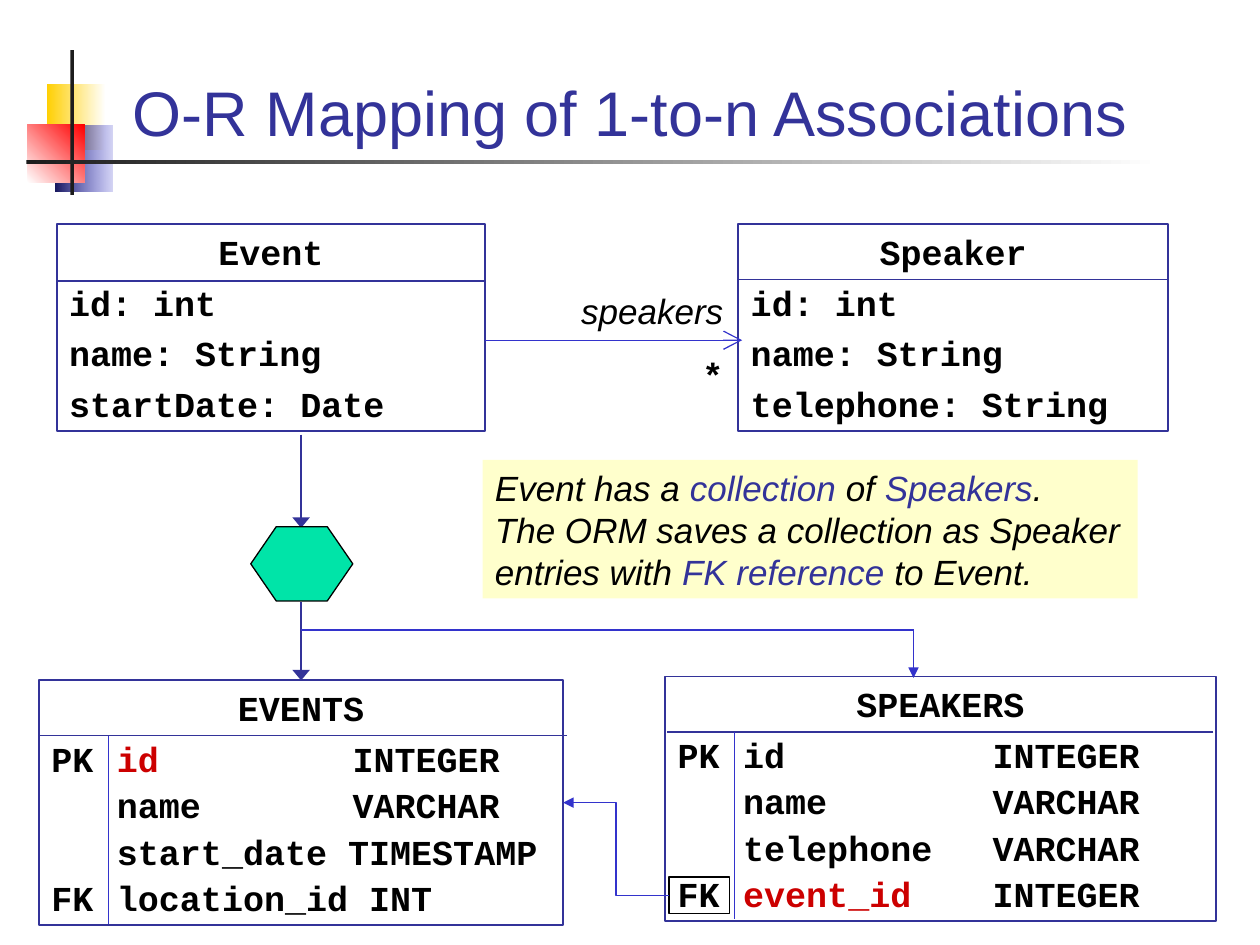
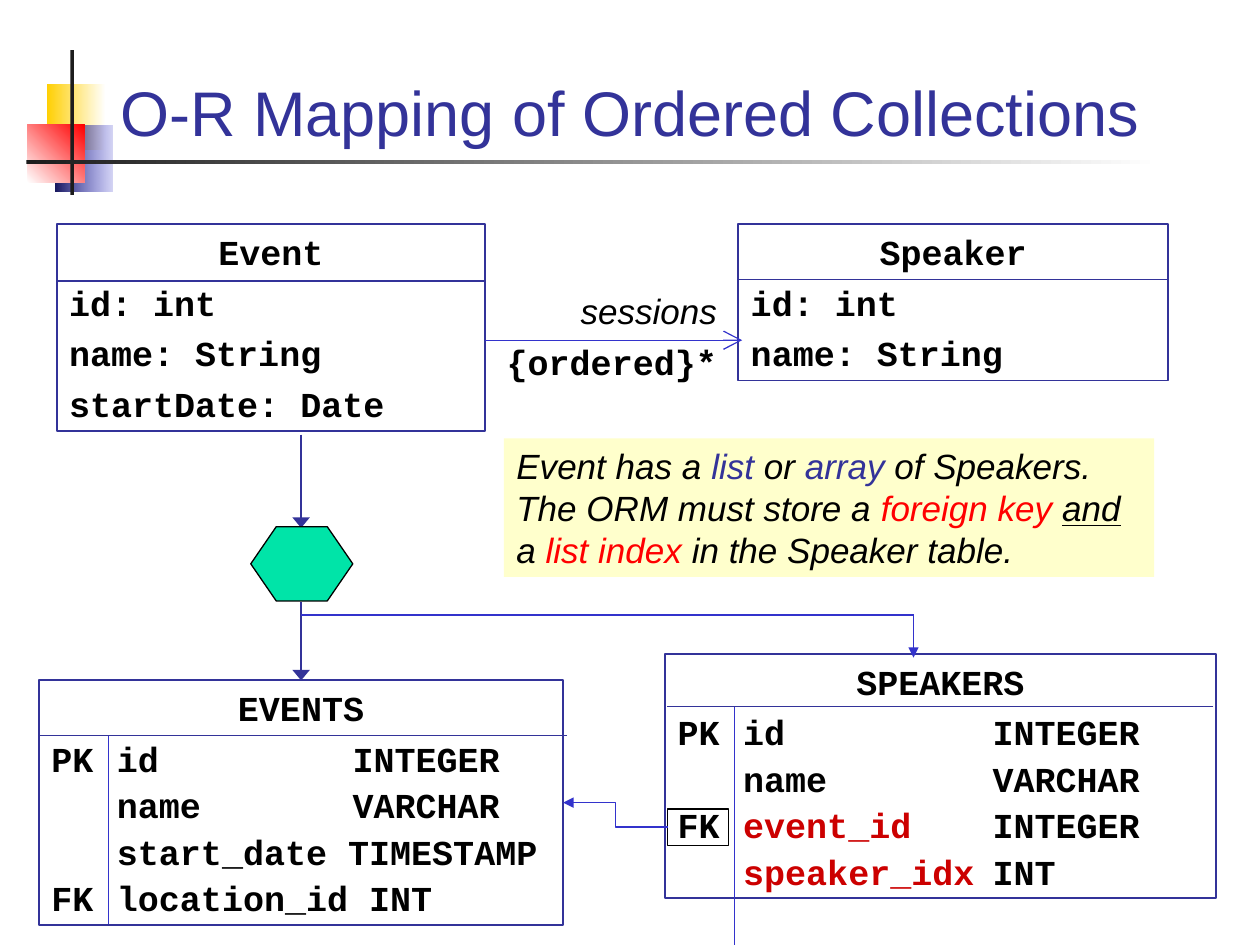
"""Builds two slides on object-relational mapping of associations and collections."""
from dataclasses import dataclass
from typing import Optional

from lxml.etree import SubElement
from pptx import Presentation
from pptx.dml.color import RGBColor
from pptx.enum.shapes import MSO_CONNECTOR, MSO_SHAPE
from pptx.enum.text import MSO_ANCHOR, PP_ALIGN
from pptx.oxml.ns import qn
from pptx.util import Inches, Pt

BLACK = RGBColor(0x00, 0x00, 0x00)
CHARCOAL = RGBColor(0x1C, 0x1C, 0x1C)
WHITE = RGBColor(0xFF, 0xFF, 0xFF)
INDIGO = RGBColor(0x33, 0x33, 0x99)
BLUE = RGBColor(0x33, 0x33, 0xCC)
NAVY = RGBColor(0x18, 0x18, 0x5E)
GOLD = RGBColor(0xFF, 0xCF, 0x01)
RED = RGBColor(0xFF, 0x00, 0x00)
KEY_RED = RGBColor(0xCC, 0x00, 0x00)
GREEN = RGBColor(0x00, 0xE4, 0xA8)
CREAM = RGBColor(0xFF, 0xFF, 0xCC)
SANS, MONO = "Arial", "Courier New"
FLOW_X = 2.39
KEY_TAB = 0.52


@dataclass(frozen=True)
class Span:
    text: str
    color: RGBColor = BLACK
    underline: bool = False


@dataclass(frozen=True)
class Line:
    spans: tuple[Span, ...]
    font: str = MONO
    align: PP_ALIGN = PP_ALIGN.LEFT
    before: float = 0
    tabs: tuple[float, ...] = ()


@dataclass(frozen=True)
class Area:
    left: float
    top: float
    width: float
    height: float

    @property
    def inches(self) -> tuple:
        return tuple(Inches(v) for v in (self.left, self.top, self.width, self.height))


@dataclass(frozen=True)
class Band:
    area: Area
    start: RGBColor
    end: RGBColor
    angle: float = 0
    end_alpha: Optional[int] = None


@dataclass(frozen=True)
class Entity:
    name: str
    fields: tuple[str, ...]
    area: Area
    divider: float


@dataclass(frozen=True)
class Table:
    name: str
    rows: tuple[tuple[str, str, str], ...]
    area: Area
    rule: tuple[float, float]
    divider: float
    key_line: tuple[float, float, float]
    type_tab: float
    red_columns: tuple[str, ...] = ()


@dataclass(frozen=True)
class Mapping:
    title: str
    speaker: Entity
    events: Table
    speakers: Table
    label: Area
    label_lines: tuple[Line, ...]
    note: Area
    note_lines: tuple[Line, ...]
    branch_y: float
    branch_end: float
    foreign_key: Area


BANDS = (
    Band(Area(0.37, 0.67, 0.47, 0.52), GOLD, WHITE),
    Band(Area(0.44, 1, 0.45, 0.52), NAVY, BLUE, end_alpha=20),
    Band(Area(0.22, 0.99, 0.45, 0.46), WHITE, RED, angle=45),
    Band(Area(0.56, 0.4, 0.03, 1.15), CHARCOAL, CHARCOAL),
    Band(Area(0.21, 1.27, 9, 0.03), CHARCOAL, WHITE),
)
EVENT = Entity("Event", ("id: int", "name: String", "startDate: Date"),
               Area(0.45, 1.78, 3.4, 1.64), 2.23)
SPEAKER_FIELDS = ("id: int", "name: String", "telephone: String")
EVENT_ROWS = (("PK", "id", "\tINTEGER"), ("", "name", "\tVARCHAR"),
              ("", "start_date", " TIMESTAMP"), ("FK", "location_id", " INT"))
SPEAKER_ROWS = (("PK", "id", "\tINTEGER"), ("", "name", "\tVARCHAR"))
EVENT_ID_ROW = ("FK", "event_id", "\tINTEGER")


def speaker_entity(count: int, height: float) -> Entity:
    return Entity("Speaker", SPEAKER_FIELDS[:count], Area(5.86, 1.78, 3.41, height), 2.22)


def events_table(*red_columns: str) -> Table:
    return Table("EVENTS", EVENT_ROWS, Area(0.31, 5.4, 4.16, 1.94), (0.32, 4.5), 5.84,
                 (0.86, 5.84, 7.33), 2.39, red_columns)


def speakers_table(rows: tuple, top: float, divider: float, key_end: float,
                   *red_columns: str) -> Table:
    return Table("SPEAKERS", SPEAKER_ROWS + rows, Area(5.28, top, 4.37, 1.94), (5.29, 9.63),
                 divider, (5.83, divider, key_end), 2.5, red_columns)


def label_lines(role: str, multiplicity: str, gap: float) -> tuple[Line, ...]:
    return (Line((Span(role),), SANS, PP_ALIGN.RIGHT),
            Line((Span(multiplicity),), MONO, PP_ALIGN.RIGHT, gap))


MAPPINGS = (
    Mapping(
        "O-R Mapping of 1-to-n Associations",
        speaker_entity(3, 1.64),
        events_table("id"),
        speakers_table((("", "telephone", "\tVARCHAR"), EVENT_ID_ROW), 5.37, 5.81, 7.29,
                       "event_id"),
        Area(4.5, 2.25, 1.34, 0.94), label_lines("speakers", "*", 12.5),
        Area(3.83, 3.65, 5.2, 1.1),
        (Line((Span("Event has a "), Span("collection", INDIGO), Span(" of "),
               Span("Speakers", INDIGO), Span(".")), SANS),
         Line((Span("The ORM saves a collection as Speaker entries with "),
               Span("FK reference", INDIGO), Span(" to Event.")), SANS)),
        5, 5.38, Area(5.31, 6.96, 0.48, 0.29),
    ),
    Mapping(
        "O-R Mapping of Ordered Collections",
        speaker_entity(2, 1.24),
        events_table(),
        speakers_table((EVENT_ID_ROW, ("", "speaker_idx", "\tINT")), 5.19, 5.61, 7.5,
                       "event_id", "speaker_idx"),
        Area(3.83, 2.25, 1.96, 0.84), label_lines("sessions", "{ordered}*", 5),
        Area(4, 3.48, 5.16, 1.1),
        (Line((Span("Event has a "), Span("list", INDIGO), Span(" or "),
               Span("array", INDIGO), Span(" of Speakers.")), SANS),
         Line((Span("The ORM must store a "), Span("foreign key ", RED),
               Span("and", underline=True), Span(" a "), Span("list index", RED),
               Span(" in the Speaker table.")), SANS)),
        4.88, 5.22, Area(5.3, 6.42, 0.48, 0.29),
    ),
)


def write_lines(frame, lines: tuple[Line, ...]) -> None:
    frame.word_wrap = True
    frame.vertical_anchor = MSO_ANCHOR.TOP
    for index, line in enumerate(lines):
        paragraph = frame.add_paragraph() if index else frame.paragraphs[0]
        paragraph.alignment = line.align
        if line.tabs:
            stops = SubElement(paragraph._p.get_or_add_pPr(), qn("a:tabLst"))
            for tab in line.tabs:
                SubElement(stops, qn("a:tab"), pos=str(Inches(tab)), algn="l")
        if index:
            paragraph.space_before = Pt(line.before)
        for span in line.spans:
            run = paragraph.add_run()
            run.text = span.text
            font = run.font
            font.name, font.size = line.font, Pt(20)
            font.bold, font.italic = line.font == MONO, line.font == SANS
            font.color.rgb = span.color
            if span.underline:
                font.underline = True


def add_box(slide, area: Area, fill: Optional[RGBColor] = None,
            outline: Optional[RGBColor] = None, weight: float = 0.75,
            preset: MSO_SHAPE = MSO_SHAPE.RECTANGLE):
    box = slide.shapes.add_shape(preset, *area.inches)
    box.shadow.inherit = False
    if fill is None:
        box.fill.background()
    else:
        box.fill.solid()
        box.fill.fore_color.rgb = fill
    if outline is None:
        box.line.fill.background()
    else:
        box.line.color.rgb = outline
        box.line.width = Pt(weight)
    return box


def add_line(slide, start: tuple[float, float], end: tuple[float, float],
             color: RGBColor = INDIGO, weight: float = 0.75, arrow: str = "",
             head_width: str = "med", head_length: str = "med",
             kind: MSO_CONNECTOR = MSO_CONNECTOR.STRAIGHT):
    line = slide.shapes.add_connector(kind, *(Inches(v) for v in start + end))
    line.line.color.rgb = color
    line.line.width = Pt(weight)
    if arrow:
        SubElement(line.line._get_or_add_ln(), qn("a:tailEnd"), type=arrow,
                   w=head_width, len=head_length)
    SubElement(line._element.spPr, qn("a:effectLst"))
    return line


def add_bands(layout, slide) -> None:
    for band in BANDS:
        shape = add_box(slide, band.area)
        shape.fill.gradient()
        shape.fill.gradient_angle = band.angle
        first, last = shape.fill.gradient_stops
        first.color.rgb, last.color.rgb = band.start, band.end
        first.position, last.position = 0, 1
        if band.end_alpha is not None:
            color = shape._element.spPr.findall(".//" + qn("a:srgbClr"))[-1]
            SubElement(color, qn("a:alpha"), val=str(band.end_alpha * 1000))
        layout.shapes.element.append(shape.element)


def add_entity(slide, entity: Entity) -> None:
    area = entity.area
    box = add_box(slide, area, outline=INDIGO, weight=1)
    heading = Line((Span(entity.name),), align=PP_ALIGN.CENTER)
    fields = tuple(Line((Span(field),), before=5) for field in entity.fields)
    write_lines(box.text_frame, (heading, *fields))
    add_line(slide, (area.left + area.width, entity.divider), (area.left, entity.divider))


def add_db_table(slide, table: Table):
    box = add_box(slide, table.area, outline=INDIGO, weight=1)
    lines = [Line((Span(table.name),), align=PP_ALIGN.CENTER)]
    for index, (key, column, kind) in enumerate(table.rows):
        color = KEY_RED if column in table.red_columns else BLACK
        lines.append(Line((Span(key + "\t"), Span(column, color), Span(kind)),
                          before=2.5 if index else 5, tabs=(KEY_TAB, table.type_tab)))
    write_lines(box.text_frame, tuple(lines))
    left, right = table.rule
    add_line(slide, (right, table.divider), (left, table.divider))
    key_x, key_top, key_bottom = table.key_line
    add_line(slide, (key_x, key_top), (key_x, key_bottom), BLUE)
    return box


def add_mapping(slide, mapping: Mapping) -> None:
    title = slide.shapes.title
    title.text_frame.text = mapping.title
    paragraph = title.text_frame.paragraphs[0]
    paragraph.alignment = PP_ALIGN.CENTER
    font = paragraph.runs[0].font
    font.name, font.size, font.color.rgb = SANS, Pt(36), INDIGO

    add_entity(slide, EVENT)
    add_entity(slide, mapping.speaker)
    add_line(slide, (3.85, 2.7), (5.89, 2.7), BLUE, arrow="arrow",
             head_width="lg", head_length="lg")
    add_line(slide, (FLOW_X, 3.45), (FLOW_X, 4.19), weight=1, arrow="triangle",
             head_width="lg")
    mapper = add_box(slide, Area(1.99, 4.18, 0.81, 0.59), GREEN, BLACK,
                     preset=MSO_SHAPE.HEXAGON)
    mapper.adjustments[0] = 0.343

    events = add_db_table(slide, mapping.events)
    add_db_table(slide, mapping.speakers)
    save = add_line(slide, (FLOW_X, 4.78), (FLOW_X, 5.4), weight=1, arrow="triangle",
                    head_width="lg")
    save.end_connect(events, 0)
    corner = (7.25, mapping.branch_y)
    add_line(slide, (FLOW_X, mapping.branch_y), corner, BLUE)
    add_line(slide, corner, (7.25, mapping.branch_end), BLUE, arrow="triangle")

    note = add_box(slide, mapping.note, CREAM)
    write_lines(note.text_frame, mapping.note_lines)
    label = slide.shapes.add_textbox(*mapping.label.inches)
    write_lines(label.text_frame, mapping.label_lines)

    foreign_key = add_box(slide, mapping.foreign_key, outline=BLACK)
    reference = add_line(slide, (5.31, 7.1), (4.47, 6.38), BLUE, arrow="triangle",
                         kind=MSO_CONNECTOR.ELBOW)
    reference.begin_connect(foreign_key, 1)
    reference.end_connect(events, 3)


def main() -> None:
    deck = Presentation()
    deck.slide_width, deck.slide_height = Inches(10), Inches(7.5)
    layout = deck.slide_layouts.get_by_name("Title Only")
    heading = layout.placeholders[0]
    heading.left, heading.top, heading.width, heading.height = Area(0.67, 0.28, 8.66, 0.95).inches
    heading.text_frame.vertical_anchor = MSO_ANCHOR.BOTTOM
    slides = [deck.slides.add_slide(layout) for _ in MAPPINGS]
    add_bands(layout, slides[0])
    for slide, mapping in zip(slides, MAPPINGS):
        add_mapping(slide, mapping)
    deck.save("out.pptx")


if __name__ == "__main__":
    main()
